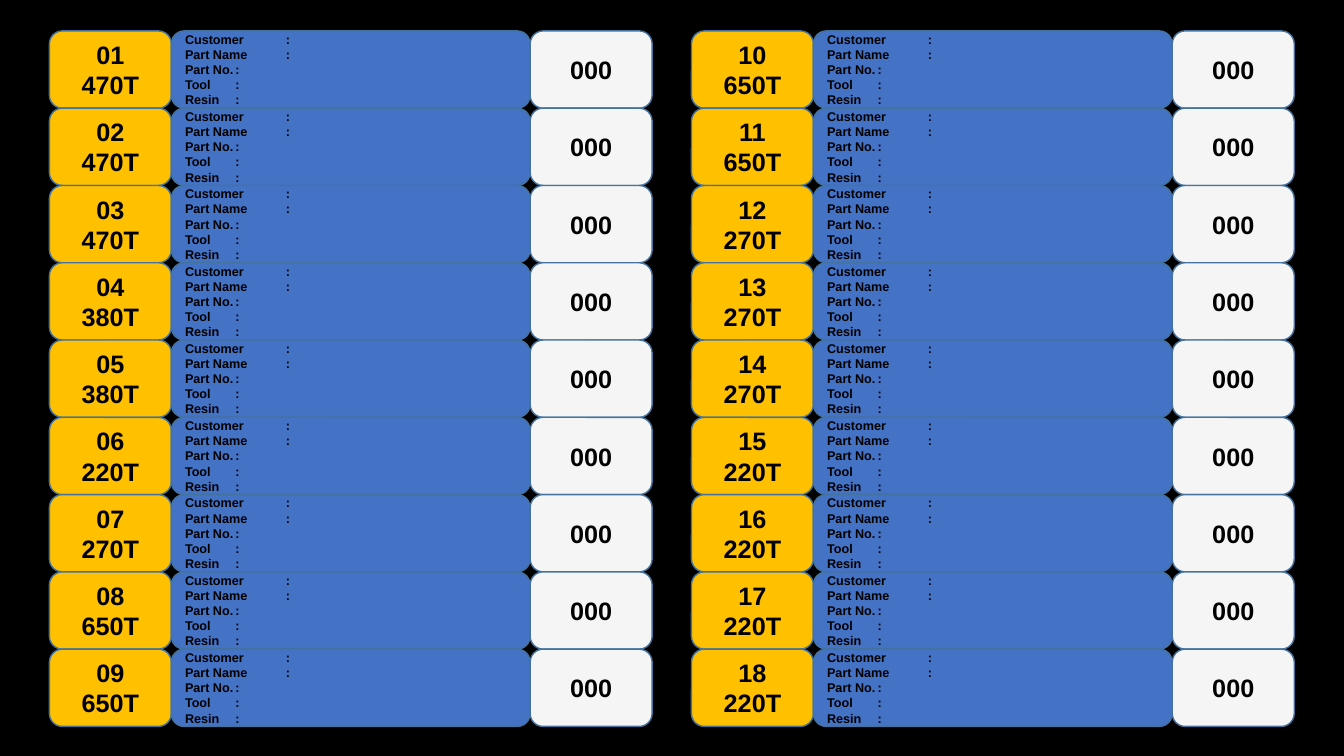
"""Build a machine board: eighteen rows of machine, part details and count."""
from pptx import Presentation
from pptx import util as u
from pptx.dml.color import RGBColor
from pptx.enum import shapes, text

PX = u.Inches(1) // 300
BLACK = RGBColor(0, 0, 0)
GOLD = RGBColor(0xFF, 0xC0, 0x00)
BLUE = RGBColor(0x44, 0x72, 0xC4)
PALE = RGBColor(0xF5, 0xF5, 0xF5)
EDGE = RGBColor(0x43, 0x73, 0x9E)

LEFT, TOP, PITCH, BLOCK = 147, 92, 230, 1911
SIDE, MID = 363, 1068
ROWS = 9
TONS = ("470T 470T 470T 380T 380T 220T 270T 650T 650T "
        "650T 650T 270T 270T 270T 220T 220T 220T 220T").split()
LABELS = ["Customer", "Part Name", "Part No.", "Tool", "Resin"]
DETAILS = [f"{label}\t:" for label in LABELS]


def add_text(frame, lines, size, align):
    """Write each line as a bold paragraph."""
    for i, line in enumerate(lines):
        para = frame.paragraphs[0] if i == 0 else frame.add_paragraph()
        para.alignment = align
        run = para.add_run()
        run.text = line
        run.font.name = "Arial"
        run.font.size = u.Pt(size)
        run.font.bold = True
        run.font.color.rgb = BLACK


def add_card(slide, x, y, width, fill, lines, size=18,
             align=text.PP_ALIGN.CENTER):
    """Draw one rounded card with its text."""
    card = slide.shapes.add_shape(
        shapes.MSO_SHAPE.ROUNDED_RECTANGLE,
        x * PX, y * PX, width * PX, PITCH * PX)
    card.shadow.inherit = False
    card.fill.solid()
    card.fill.fore_color.rgb = fill
    card.line.color.rgb = EDGE
    card.line.width = u.Pt(1)
    card.text_frame.word_wrap = True
    card.text_frame.vertical_anchor = text.MSO_ANCHOR.MIDDLE
    add_text(card.text_frame, lines, size, align)


def add_row(slide, x, y, num, tons):
    """Draw the three cards of one machine."""
    add_card(slide, x, y, SIDE, GOLD, [f"{num:02}", tons])
    add_card(slide, x + SIDE, y, MID, BLUE, DETAILS, 9, text.PP_ALIGN.LEFT)
    add_card(slide, x + SIDE + MID, y, SIDE, PALE, ["000"])


def main():
    """Lay out the rows in two blocks and save the deck."""
    deck = Presentation()
    deck.slide_width, deck.slide_height = 4000 * PX, 2250 * PX
    slide = deck.slides.add_slide(deck.slide_layouts[6])
    slide.background.fill.solid()
    slide.background.fill.fore_color.rgb = BLACK
    for i, tons in enumerate(TONS):
        col, row = divmod(i, ROWS)
        add_row(slide, LEFT + col * BLOCK, TOP + row * PITCH, i + 1, tons)
    deck.save("out.pptx")


if __name__ == "__main__":
    main()
